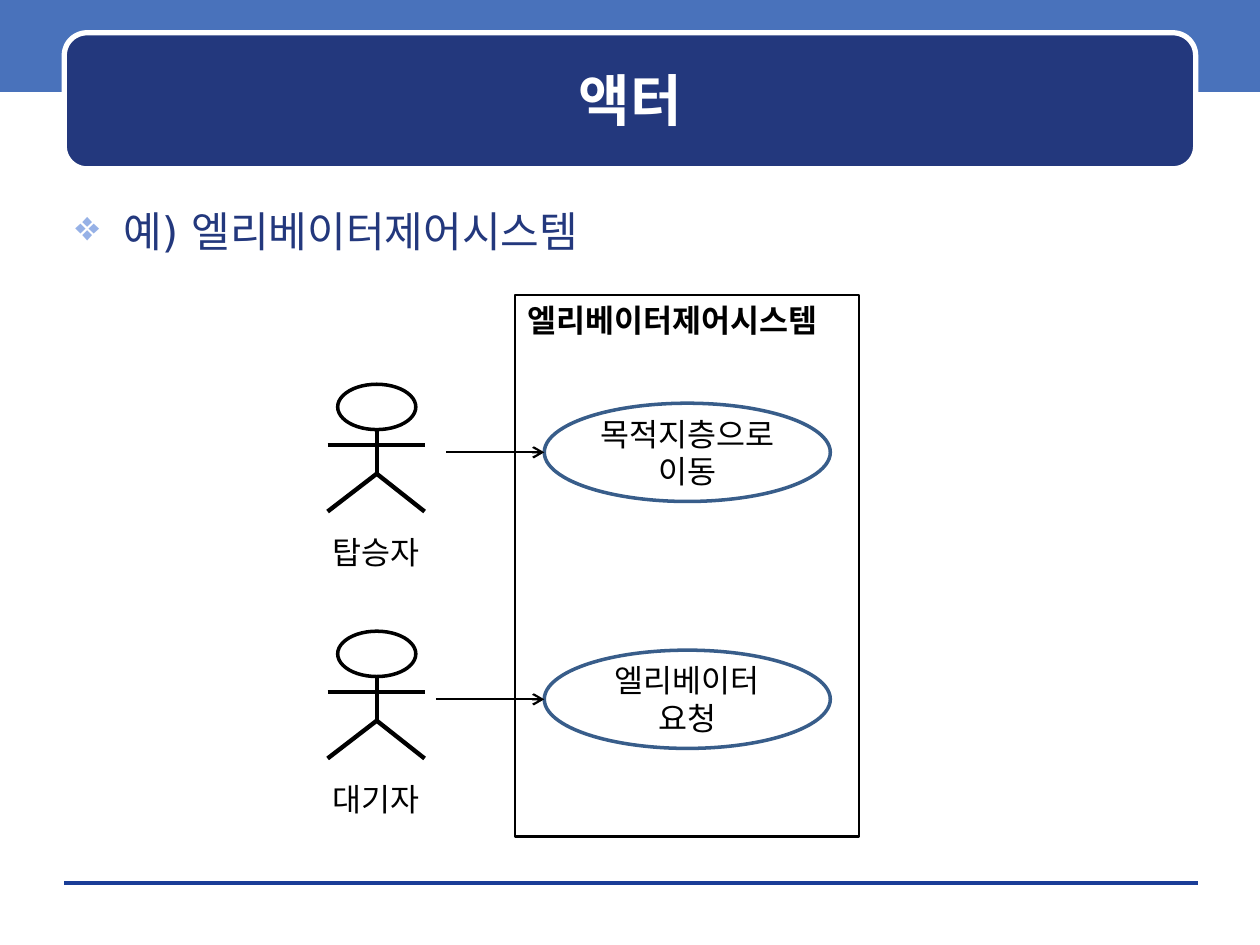
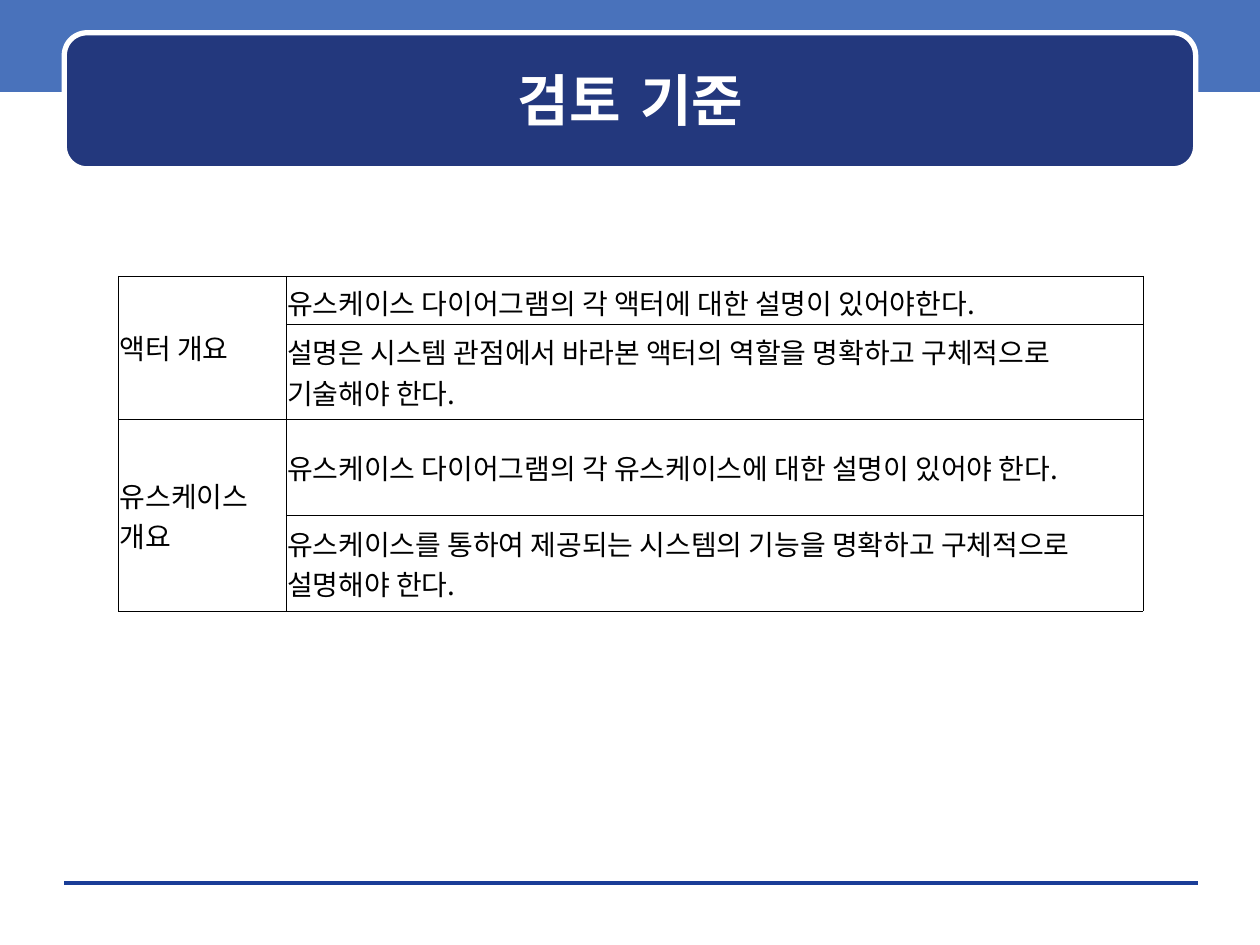
from lxml import etree
from pptx import Presentation
from pptx.dml.color import RGBColor
from pptx.enum.shapes import MSO_CONNECTOR, MSO_SHAPE
from pptx.enum.text import MSO_ANCHOR, PP_ALIGN
from pptx.oxml.ns import qn
from pptx.util import Inches, Pt

RECTANGLE, ROUNDED = MSO_SHAPE.RECTANGLE, MSO_SHAPE.ROUNDED_RECTANGLE
ELLIPSE, STRAIGHT = MSO_SHAPE.OVAL, MSO_CONNECTOR.STRAIGHT
TOP, MIDDLE = MSO_ANCHOR.TOP, MSO_ANCHOR.MIDDLE
LEFT, CENTER = PP_ALIGN.LEFT, PP_ALIGN.CENTER

NAVY, BLUE, RULE, OVAL_BLUE = "23387D", "4972BB", "1A3D97", "385D8A"
BULLET_BLUE, BLACK, WHITE = "96B1E6", "000000", "FFFFFF"
HEAD_FONT, BODY_FONT = "DejaVu Sans", "Noto Sans CJK KR"
TITLE = {"size": Pt(32), "bold": True, "name": HEAD_FONT, "color": WHITE}
HEADING = {"size": Pt(24), "name": HEAD_FONT, "color": NAVY}
LABEL = {"size": Pt(18), "name": BODY_FONT, "color": BLACK}
CELL = {**LABEL, "size": Pt(16)}


def rgb(color):
    return RGBColor.from_string(color)


def add_xml(parent, tag, **attributes):
    return etree.SubElement(parent, qn(tag), attributes)


class SlideBuilder:
    """Holds the deck's style and the slide being built."""

    def __init__(self):
        self.deck = Presentation()
        self.deck.slide_width, self.deck.slide_height = Inches(10), Inches(7.5)
        self.page = None

    def start(self, title):
        self.page = self.deck.slides.add_slide(self.deck.slide_layouts[6])
        self.shape(RECTANGLE, (0, -0.03, 10, 0.76), fill=BLUE)
        self.line((0.51, 7.01), (9.51, 7.01), RULE, 0)
        self.shape(ROUNDED, (0.51, 0.26, 8.98, 1.08), NAVY, WHITE, 3)
        self.text((0.6, 0.35, 8.81, 0.88), [title], TITLE, CENTER, MIDDLE)

    def shape(self, kind, place, fill=None, line=None, width=1, parent=None):
        holder = parent or self.page
        box = holder.shapes.add_shape(kind, *map(Inches, place))
        box.shadow.inherit = False
        if fill:
            box.fill.solid()
            box.fill.fore_color.rgb = rgb(fill)
        else:
            box.fill.background()
        if line:
            box.line.color.rgb = rgb(line)
            box.line.width = Pt(width)
        else:
            box.line.fill.background()
        return box

    def line(self, start, end, color=BLACK, width=2.5, arrow=False, parent=None):
        holder = parent or self.page
        link = holder.shapes.add_connector(STRAIGHT, *map(Inches, (*start, *end)))
        link.line.color.rgb = rgb(color)
        link.line.width = Pt(width)
        properties = link._element.spPr
        if arrow:
            add_xml(properties.find(qn("a:ln")), "a:tailEnd", type="arrow")
        add_xml(properties, "a:effectLst")

    def add_lines(self, frame, lines, style, align=LEFT):
        for index, words in enumerate(lines):
            para = frame.add_paragraph() if index else frame.paragraphs[0]
            para.alignment = align
            span = para.add_run()
            span.text = words
            for name, value in style.items():
                if name == "color":
                    span.font.color.rgb = rgb(value)
                else:
                    setattr(span.font, name, value)
            add_xml(span._r.get_or_add_rPr(), "a:ea", typeface=style["name"])

    def fill_frame(self, box, lines, style, align=LEFT, anchor=TOP, side=0.1, wrap=True):
        frame = box.text_frame
        layout = {"word_wrap": wrap, "vertical_anchor": anchor,
                  "margin_left": Inches(side), "margin_right": Inches(side)}
        for name, value in layout.items():
            setattr(frame, name, value)
        self.add_lines(frame, lines, style, align)

    def text(self, place, lines, style, align=LEFT, anchor=TOP, wrap=True):
        box = self.page.shapes.add_textbox(*map(Inches, place))
        self.fill_frame(box, lines, style, align, anchor, wrap=wrap)
        return box

    def bullet(self, place, words):
        box = self.text(place, [words], HEADING)
        properties = box.text_frame.paragraphs[0]._p.get_or_add_pPr()
        indent = Inches(0.38)
        properties.set("marL", str(indent))
        properties.set("indent", str(-indent))
        add_xml(add_xml(properties, "a:buClr"), "a:srgbClr", val=BULLET_BLUE)
        add_xml(properties, "a:buChar", char="❖")

    def actor(self, top, name):
        figure = self.page.shapes.add_group_shape()
        self.shape(ELLIPSE, (2.68, top, 0.62, 0.36), line=BLACK, width=2, parent=figure)
        neck, hip = (2.99, top + 0.36), (2.99, top + 0.71)
        arm, foot = top + 0.48, top + 1.01
        for start, end in ((neck, hip), ((2.6, arm), (3.37, arm)),
                           (hip, (2.6, foot)), (hip, (3.37, foot))):
            self.line(start, end, parent=figure)
        self.text((2.54, top + 1.13, 0.89, 0.4), [name], LABEL, wrap=False)

    def use_case(self, top, lines, arrow_start):
        box = self.shape(ELLIPSE, (4.32, top, 2.27, 0.78), line=OVAL_BLUE, width=2)
        self.fill_frame(box, lines, LABEL, CENTER, MIDDLE, side=0)
        level = top + 0.39
        self.line((arrow_start, level), (4.32, level), width=1.25, arrow=True)

    def cell(self, cell, lines):
        layout = {"vertical_anchor": MIDDLE,
                  "margin_left": Inches(0.01), "margin_right": Inches(0.01)}
        for name, value in layout.items():
            setattr(cell, name, value)
        properties = cell._tc.get_or_add_tcPr()
        for side in "LRTB":
            border = add_xml(properties, f"a:ln{side}", w=str(Pt(0.23)))
            add_xml(add_xml(border, "a:solidFill"), "a:srgbClr", val=BLACK)
        cell.fill.background()
        self.add_lines(cell.text_frame, lines, CELL)

    def criteria_table(self, place, columns, heights, sections):
        """Each section is a merged heading cell beside its criteria."""
        frame = self.page.shapes.add_table(len(heights), len(columns), *map(Inches, place))
        table = frame.table
        table.first_row = table.horz_banding = False
        for column, width in zip(table.columns, columns):
            column.width = Inches(width)
        for row, height in zip(table.rows, heights):
            row.height = Inches(height)
        first = 0
        for heading, criteria in sections:
            last = first + len(criteria) - 1
            table.cell(first, 0).merge(table.cell(last, 0))
            for offset, words in enumerate(criteria):
                self.cell(table.cell(first + offset, 0), [] if offset else heading)
                self.cell(table.cell(first + offset, 1), [words])
            first = last + 1


def actor_slide(builder):
    builder.start("액터")
    builder.bullet((0.5, 1.58, 9, 5.33), "예) 엘리베이터제어시스템")
    system = builder.shape(RECTANGLE, (4.09, 2.34, 2.73, 4.3), line=BLACK, width=1.25)
    builder.fill_frame(system, ["엘리베이터제어시스템"], {**LABEL, "bold": True})
    scenes = (("탑승자", ["목적지층으로", "이동"], 3.54),
              ("대기자", ["엘리베이터", "요청"], 3.46))
    for index, (name, goal, arrow_start) in enumerate(scenes):
        drop = index * 1.96
        builder.actor(3.05 + drop, name)
        builder.use_case(3.2 + drop, goal, arrow_start)


def review_slide(builder):
    builder.start("검토 기준")
    sections = (
        (["액터 개요"],
         ["유스케이스 다이어그램의 각 액터에 대한 설명이 있어야한다.",
          "설명은 시스템 관점에서 바라본 액터의 역할을 명확하고 구체적으로 기술해야 한다."]),
        (["유스케이스", "개요"],
         ["유스케이스 다이어그램의 각 유스케이스에 대한 설명이 있어야 한다.",
          "유스케이스를 통하여 제공되는 시스템의 기능을 명확하고 구체적으로 설명해야 한다."]),
    )
    builder.criteria_table((0.94, 2.19, 8.13, 2.66), (1.33, 6.8),
                           (0.38, 0.76, 0.76, 0.76), sections)


def main():
    builder = SlideBuilder()
    actor_slide(builder)
    review_slide(builder)
    builder.deck.save("out.pptx")


if __name__ == "__main__":
    main()
